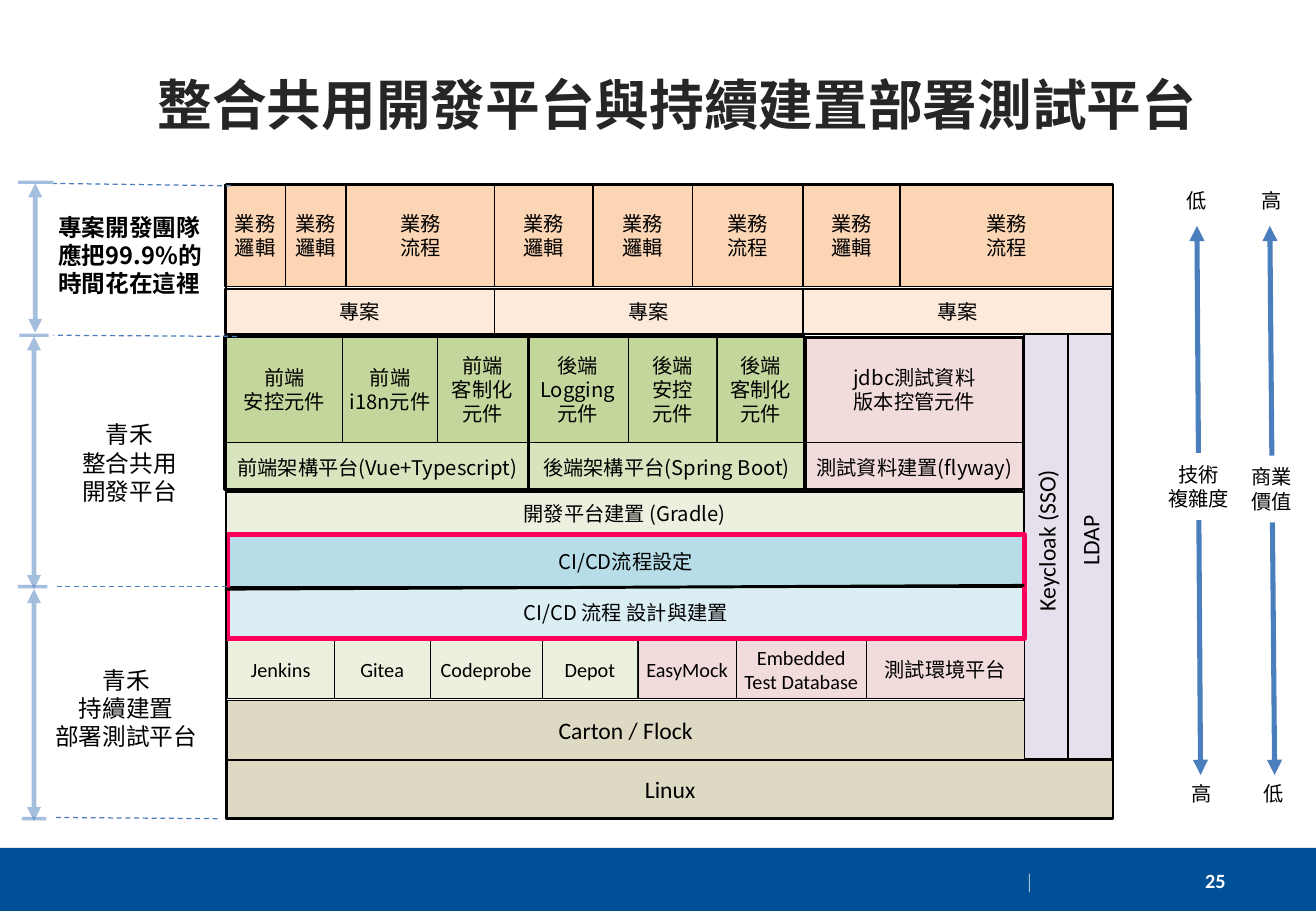
"""Build the slide on the shared development platform and the CI/CD platform."""
from lxml.etree import SubElement
from pptx import Presentation
from pptx.dml.color import RGBColor
from pptx.enum.dml import MSO_LINE
from pptx.enum.shapes import MSO_CONNECTOR as CONNECTOR, MSO_SHAPE as SHAPE
from pptx.enum.text import MSO_ANCHOR as ANCHOR, PP_ALIGN as ALIGN
from pptx.oxml.ns import qn
from pptx.util import Inches, Pt

TITLE = "整合共用開發平台與持續建置部署測試平台"
BLACK, WHITE, BLUE = "000000", "FFFFFF", "4B7EBC"
LOGIC, FLOW = "業務\n邏輯", "業務\n流程"

# top, height, fill, line width, text size, cell edges, labels
LAYERS = [
    (6.26, 0.48, "DDD9C3", 0.5, 14, [1.87, 9.16], ["Linux"]),
    (5.77, 0.48, "DDD9C3", 0.5, 14, [1.87, 8.43], ["Carton / Flock"]),
    (5.27, 0.48, "EBF1DE", 0.5, 12, [1.87, 2.75, 3.54, 4.46, 5.25],
     ["Jenkins", "Gitea", "Codeprobe", "Depot"]),
    (5.27, 0.48, "F2DCDB", 0.5, 12, [5.25, 6.06, 7.13, 8.43],
     ["EasyMock", "Embedded\nTest Database", "測試環境平台"]),
    (4.84, 0.41, "DBEEF4", 0.5, 12, [1.87, 8.43], ["CI/CD 流程 設計與建置"]),
    (4.42, 0.41, "B7DEE8", 0.5, 12, [1.87, 8.43], ["CI/CD流程設定"]),
    (4.05, 0.35, "EBF1DE", 0.5, 12, [1.86, 8.42], ["開發平台建置 (Gradle)"]),
    (3.64, 0.41, "D7E4BD", 0.5, 12, [1.86, 4.35, 6.62],
     ["前端架構平台(Vue+Typescript)", "後端架構平台(Spring Boot)"]),
    (3.64, 0.41, "F2DCDB", 0.5, 12, [6.62, 8.43], ["測試資料建置(flyway)"]),
    (2.77, 0.87, "C3D69B", 0.5, 12, [1.86, 2.82, 3.6, 4.34, 5.17, 5.9, 6.62],
     ["前端\n安控元件", "前端\ni18n元件", "前端\n客制化\n元件",
      "後端\nLogging\n元件", "後端\n安控\n元件", "後端\n客制化\n元件"]),
    (2.77, 0.87, "F2DCDB", 0.5, 12, [6.62, 8.43], ["jdbc測試資料\n版本控管元件"]),
    (2.38, 0.37, "FDEADA", 1, 12, [1.85, 4.07, 6.61, 9.15], ["專案"] * 3),
    (1.52, 0.84, "FCD5B5", 1, 12,
     [1.85, 2.35, 2.85, 4.07, 4.88, 5.7, 6.61, 7.41, 9.16],
     [LOGIC, LOGIC, FLOW, LOGIC, LOGIC, FLOW, LOGIC, FLOW]),
]
LOGINS = [("Keycloak (SSO)", 6.81), ("LDAP", 7.17)]
FRAMES = [
    (1.85, 2.77, 2.5, 1.26, BLACK, 1.5), (4.35, 2.77, 2.27, 1.26, BLACK, 1.5),
    (6.63, 2.78, 1.79, 1.25, BLACK, 1.5), (1.87, 4.4, 6.56, 0.86, "FF005B", 3),
    (1.86, 1.52, 7.3, 5.22, BLACK, 1.5),
]
OWNERS = [
    ("專案開發團隊\n應把99.9%的\n時間花在這裡", 0.38, 1.7, 1.38,
     dict(bold=True, align=ALIGN.LEFT, wrap=True)),
    ("青禾\n整合共用\n開發平台", 0.57, 3.41, 0.99, {}),
    ("青禾\n持續建置\n部署測試平台", 0.35, 5.43, 1.38, {}),
]
SPANS = [(0.29, 1.51, 2.74), (0.28, 2.77, 4.85), (0.28, 4.85, 6.76)]
TICKS = [(0.15, 0.44, 1.5), (0.16, 0.4, 2.76), (0.15, 0.39, 4.83), (0.18, 0.38, 6.74)]
GUIDES = [(1.9, 1.53, 1.51), (1.95, 2.77, 2.76), (1.87, 4.83, 4.83), (1.79, 6.74, 6.73)]
# label, label left, label top, arrow top x, arrow bottom x, top word, bottom word
SCALES = [
    ("技術\n複雜度", 9.55, 3.73, 9.85, 9.88, ("低", 9.66), ("高", 9.7)),
    ("商業\n價值", 10.15, 3.75, 10.45, 10.49, ("高", 10.28), ("低", 10.3)),
]


def color(value):
    return RGBColor.from_string(value)


def write(shape, text, size=12, bold=False, ink=BLACK, align=ALIGN.CENTER,
          anchor=ANCHOR.MIDDLE, wrap=False):
    frame = shape.text_frame
    frame.word_wrap = wrap
    frame.vertical_anchor = anchor
    face = "Calibri" if text.isascii() else "Noto Sans CJK SC"
    for index, line in enumerate(text.split("\n")):
        paragraph = frame.add_paragraph() if index else frame.paragraphs[0]
        paragraph.alignment = align
        run = paragraph.add_run()
        run.text = line
        font = run.font
        font.size, font.bold, font.name = Pt(size), bold, face
        font.color.rgb = color(ink)
        SubElement(run._r.get_or_add_rPr(), qn("a:ea")).set("typeface", face)


def label(slide, text, left, top, width, height, **style):
    box = slide.shapes.add_textbox(*map(Inches, (left, top, width, height)))
    write(box, text, **style)


def block(slide, left, top, width, height, fill=None, line=None, weight=0.5):
    shape = slide.shapes.add_shape(
        SHAPE.RECTANGLE, *map(Inches, (left, top, width, height)))
    shape.shadow.inherit = False
    if fill:
        shape.fill.solid()
        shape.fill.fore_color.rgb = color(fill)
    else:
        shape.fill.background()
    if line:
        shape.line.color.rgb = color(line)
        shape.line.width = Pt(weight)
    else:
        shape.line.fill.background()
    return shape


def rule(slide, x1, y1, x2, y2, weight, ink=BLUE, arrows=False, dashed=False, faded=False):
    line = slide.shapes.add_connector(
        CONNECTOR.STRAIGHT, *map(Inches, (x1, y1, x2, y2)))
    line.line.color.rgb = color(ink)
    line.line.width = Pt(weight)
    if dashed:
        line.line.dash_style = MSO_LINE.DASH
    properties = line._element.spPr
    if faded:
        tint = properties.find(".//" + qn("a:srgbClr"))
        SubElement(tint, qn("a:alpha")).set("val", "50000")
    if arrows:
        for end in ("a:headEnd", "a:tailEnd"):
            SubElement(line.line._get_or_add_ln(), qn(end)).set("type", "triangle")
    SubElement(properties, qn("a:effectLst"))


def main():
    deck = Presentation()
    deck.slide_width, deck.slide_height = Inches(10.83), Inches(7.5)
    slide = deck.slides.add_slide(deck.slide_layouts[6])

    block(slide, 0, 6.98, 10.83, 0.52, "005098")
    label(slide, "│", 5.26, 7.13, 3.39, 0.3, size=11, bold=True, ink=WHITE,
          align=ALIGN.RIGHT, anchor=ANCHOR.TOP, wrap=True)
    label(slide, "25", 9.82, 7.1, 0.55, 0.3, bold=True, ink=WHITE,
          align=ALIGN.LEFT, wrap=True)
    label(slide, TITLE, 0.99, 0.5, 9.16, 0.71, size=32.4, bold=True, ink="262626", wrap=True)

    for text, left in LOGINS:
        login = block(slide, left, 4.27, 3.6, 0.36, "E6E0EC", BLACK, 1)
        login.rotation = 270
        write(login, text, size=14)
    for top, height, fill, weight, size, edges, names in LAYERS:
        for left, right, name in zip(edges, edges[1:], names):
            cell = block(slide, left, top, right - left, height, fill, BLACK, weight)
            write(cell, name, size=size)
    for left, top, width, height, ink, weight in FRAMES:
        block(slide, left, top, width, height, line=ink, weight=weight)
    rule(slide, 1.85, 4.85, 8.43, 4.82, 1.75, BLACK)

    for x, top, bottom in SPANS:
        rule(slide, x, top, x, bottom, 2.75, arrows=True, faded=True)
    for left, right, y in TICKS:
        rule(slide, left, y, right, y, 2, faded=True)
    for right, right_y, left_y in GUIDES:
        rule(slide, right, right_y, 0.44, left_y, 0.75, dashed=True)
    for text, left, top, width, style in OWNERS:
        label(slide, text, left, top, width, 0.81, size=14, anchor=ANCHOR.TOP, **style)

    for name, left, top, top_x, bottom_x, (high, high_x), (low, low_x) in SCALES:
        rule(slide, top_x, 1.86, bottom_x, 6.38, 3, arrows=True)
        write(block(slide, left, top, 0.63, 0.55, WHITE), name)
        label(slide, high, high_x, 1.5, 0.37, 0.3)
        label(slide, low, low_x, 6.38, 0.37, 0.3)

    deck.save("out.pptx")


if __name__ == "__main__":
    main()
